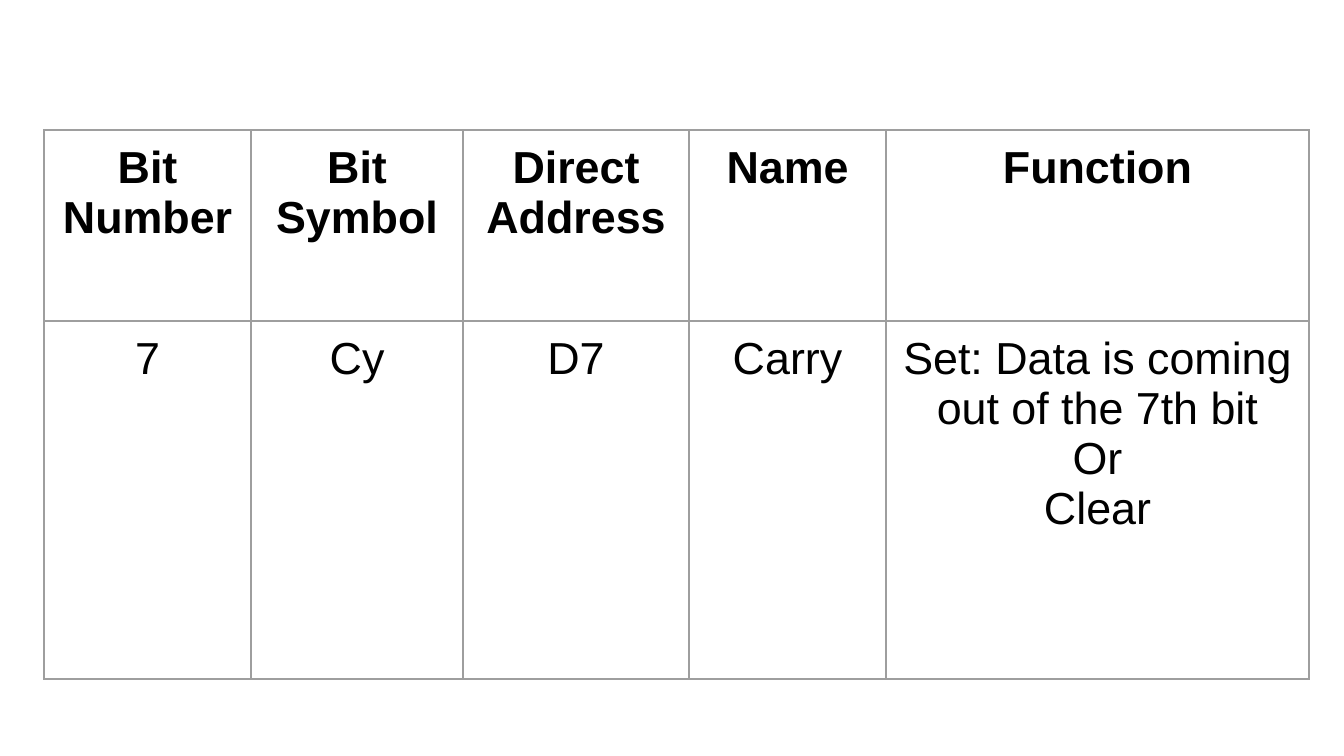
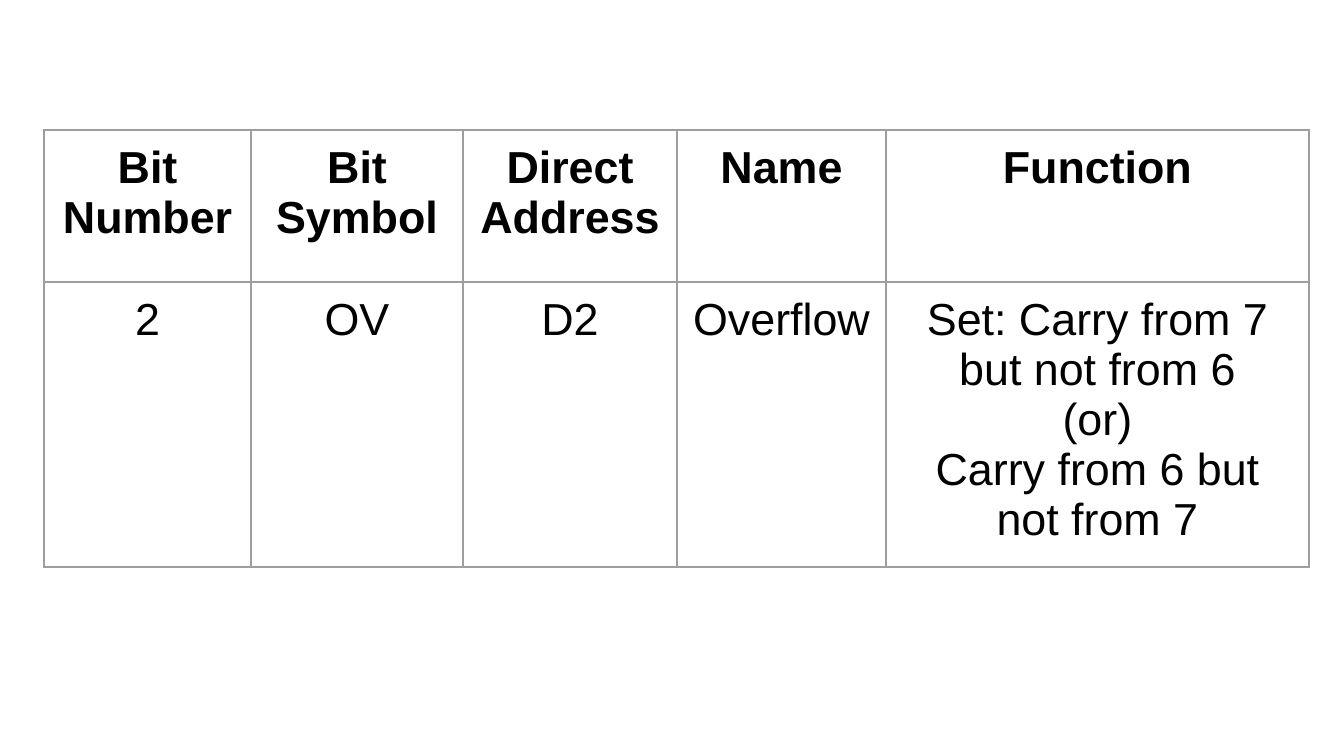
from lxml import etree
from pptx import Presentation
from pptx import util as u
from pptx.dml.color import RGBColor
from pptx.enum import text
from pptx.oxml.ns import qn

COLORS = {"text": "000000", "border": "9E9E9E"}
FONT = "Arial"
FONT_SIZE = u.Pt(24)
BORDER_WIDTH = u.Pt(0.75)
BLANK_LAYOUT = 6
TABLE_LEFT, TABLE_TOP = 44, 130
CELL_MARGIN = u.Inches(0.1)

HEADERS = ["Bit Number", "Bit Symbol", "Direct Address", "Name", "Function"]
FLAGS = [
    {
        "cells": ["7", "Cy", "D7", "Carry",
                  "Set: Data is coming out of the 7th bit\nOr\nClear"],
        "widths": [207, 212, 226, 197, 423],
        "heights": [191, 358],
    },
    {
        "cells": ["2", "OV", "D2", "Overflow",
                  "Set: Carry from 7 but not from 6\n(or)\n"
                  "Carry from 6 but not from 7"],
        "widths": [207, 212, 214, 209, 423],
        "heights": [152, 285],
    },
]


def px(n):
    return u.Emu(round(n * 914400 / 134.4))


def set_borders(cell):
    tc_pr = cell._tc.get_or_add_tcPr()
    for side in ("lnL", "lnR", "lnT", "lnB"):
        ln = etree.SubElement(tc_pr, qn(f"a:{side}"), w=str(BORDER_WIDTH))
        fill = etree.SubElement(ln, qn("a:solidFill"))
        etree.SubElement(fill, qn("a:srgbClr"), val=COLORS["border"])


def fill_cell(cell, content, bold):
    set_borders(cell)
    cell.fill.background()
    cell.margin_left = cell.margin_right = CELL_MARGIN
    cell.margin_top = cell.margin_bottom = CELL_MARGIN
    cell.vertical_anchor = text.MSO_ANCHOR.TOP
    tf = cell.text_frame
    tf.text = content
    for p in tf.paragraphs:
        p.alignment = text.PP_ALIGN.CENTER
        for r in p.runs:
            r.font.name = FONT
            r.font.size = FONT_SIZE
            r.font.bold = bold
            r.font.color.rgb = RGBColor.from_string(COLORS["text"])


def add_flag_table(s, cells, widths, heights):
    rows = [HEADERS, cells]
    table = s.shapes.add_table(
        len(rows), len(HEADERS), px(TABLE_LEFT), px(TABLE_TOP),
        px(sum(widths)), px(sum(heights))).table
    table.first_row = table.horz_banding = False
    for column, width in zip(table.columns, widths):
        column.width = px(width)
    for i, (row, height) in enumerate(zip(table.rows, heights)):
        row.height = px(height)
        for cell, content in zip(row.cells, rows[i]):
            fill_cell(cell, content, bold=i == 0)


def main():
    prs = Presentation()
    prs.slide_width, prs.slide_height = px(1344), px(756)
    # One slide per status flag
    for flag in FLAGS:
        s = prs.slides.add_slide(prs.slide_layouts[BLANK_LAYOUT])
        add_flag_table(s, **flag)
    prs.save("out.pptx")


if __name__ == "__main__":
    main()
